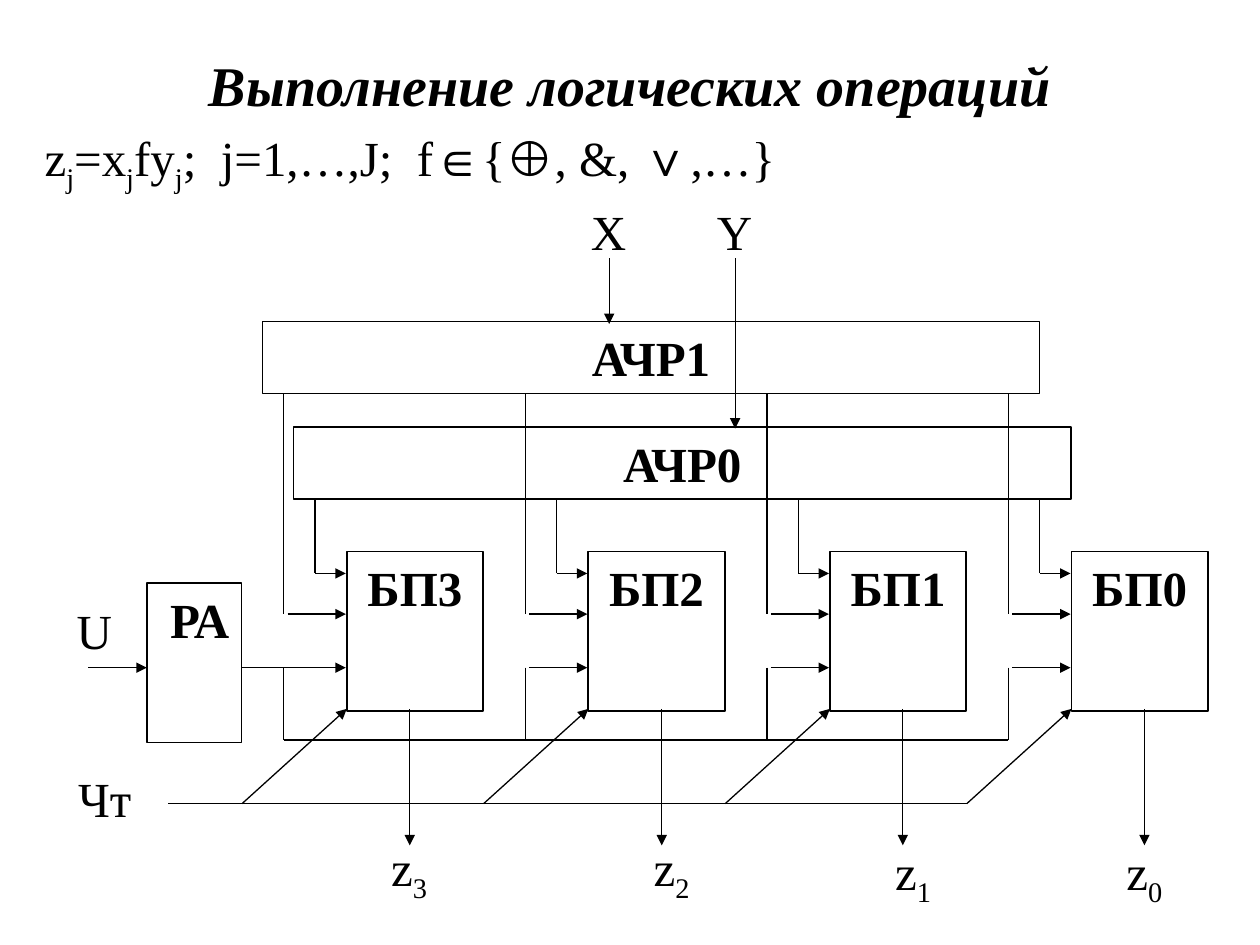
from dataclasses import dataclass

from lxml.etree import SubElement
from pptx import Presentation
from pptx.dml.color import RGBColor
from pptx.enum.shapes import MSO_CONNECTOR, MSO_SHAPE
from pptx.enum.text import MSO_ANCHOR, PP_ALIGN as Align
from pptx.oxml.ns import qn
from pptx.util import Cm, Pt

INK = "000000"
SERIF = "Times New Roman"
SYMBOL = "Arial"
SUBSCRIPT = "-25000"


@dataclass
class Piece:
    """A stretch of text, optionally lowered or in another font."""
    text: str
    sub: bool = False
    font: str = ""


@dataclass
class Box:
    """An outlined, labelled rectangle; lengths in cm, outline in points."""
    label: str
    left: float
    top: float
    width: float
    height: float
    outline: float = 1
    align: Align = Align.CENTER


@dataclass
class Label:
    """A small centred caption; position in cm."""
    pieces: list[Piece]
    left: float
    top: float


@dataclass
class Stage:
    """A processing block with its output position in cm."""
    number: int
    output_x: float
    z_left: float
    z_top: float


def colour(value: str) -> RGBColor:
    """Turn a hex string into a colour."""
    return RGBColor.from_string(value)


def write(frame, pieces: list[Piece], size: int = 28, bold: bool = False,
          italic: bool = False, align: Align = Align.CENTER) -> None:
    """Fill a text frame with one paragraph of pieces."""
    frame.word_wrap = True
    paragraph = frame.paragraphs[0]
    paragraph.alignment = align
    font = paragraph.font
    font.size, font.bold, font.italic = Pt(size), bold, italic
    font.name = SERIF
    font.color.rgb = colour(INK)
    for piece in pieces:
        run = paragraph.add_run()
        run.text = piece.text
        if piece.font:
            run.font.name = piece.font
        if piece.sub:
            run.font._element.set("baseline", SUBSCRIPT)


def add_text(left: float, top: float, width: float, height: float):
    """Add a text box and return its frame."""
    return slide.shapes.add_textbox(Cm(left), Cm(top), Cm(width), Cm(height)).text_frame


def add_box(box: Box) -> None:
    """Draw an unfilled rectangle with a bold label at the top."""
    shape = slide.shapes.add_shape(MSO_SHAPE.RECTANGLE, Cm(box.left), Cm(box.top),
                                   Cm(box.width), Cm(box.height))
    shape.shadow.inherit = False
    shape.fill.background()
    shape.line.color.rgb = colour(INK)
    shape.line.width = Pt(box.outline)
    shape.text_frame.vertical_anchor = MSO_ANCHOR.TOP
    write(shape.text_frame, [Piece(box.label)], bold=True, align=box.align)


def add_label(label: Label) -> None:
    """Write a caption in a box of the common size."""
    write(add_text(label.left, label.top, 1.68, 1.57), label.pieces)


def add_line(x1: float, y1: float, x2: float, y2: float, arrow: bool = False) -> None:
    """Draw a thin straight line, with an arrowhead at its end if asked."""
    line = slide.shapes.add_connector(MSO_CONNECTOR.STRAIGHT,
                                      Cm(x1), Cm(y1), Cm(x2), Cm(y2))
    line.line.color.rgb = colour(INK)
    line.line.width = Pt(0.75)
    if arrow:
        SubElement(line.line._get_or_add_ln(), qn("a:tailEnd"), type="triangle")
    SubElement(line._element.spPr, qn("a:effectLst"))


def add_stage(stage: Stage, left: float, wire_start: float) -> None:
    """Draw a block with its inputs, read line and output."""
    add_box(Box(f"БП{stage.number}", left, BLOCK_TOP, 2.75, 3.22))
    low_x, high_x, tip = left - 0.64, left - BUS_OFFSET, left - 0.02
    add_line(low_x, 10.06, low_x, LOW_Y)
    add_line(low_x, LOW_Y, tip, LOW_Y, arrow=True)
    add_line(high_x, 7.94, high_x, HIGH_Y)
    add_line(left - 1.19, HIGH_Y, tip, HIGH_Y, arrow=True)
    add_line(high_x, CONTROL_Y, high_x, BUS_Y)
    add_line(wire_start, CONTROL_Y, tip, CONTROL_Y, arrow=True)
    add_line(left - READ_OFFSET, READ_Y, left, BLOCK_BOTTOM, arrow=True)
    add_line(stage.output_x, BLOCK_BOTTOM, stage.output_x, 17.04, arrow=True)
    add_label(Label([Piece("z"), Piece(str(stage.number), sub=True)],
                    stage.z_left, stage.z_top))


FIRST_LEFT, PITCH = 6.99, 4.87
BLOCK_TOP, BLOCK_BOTTOM = 11.12, 14.29
LOW_Y, HIGH_Y, CONTROL_Y = 11.56, 12.38, 13.46
BUS_Y, READ_Y = 14.92, 16.2
BUS_OFFSET, READ_OFFSET = 1.27, 2.11
REGISTER_RIGHT = 4.88

STAGES = [Stage(3, 8.26, 7.41, 16.75), Stage(2, 13.34, 12.7, 16.75),
          Stage(1, 18.2, 17.57, 16.83), Stage(0, 23.07, 22.23, 16.83)]
BOXES = [Box("РА", 2.96, 11.75, 1.91, 3.22, align=Align.RIGHT),
         Box("АЧР0", 5.92, 8.61, 15.67, 1.45, outline=0.75),
         Box("АЧР1", 5.29, 6.48, 15.67, 1.45, outline=0.75)]
LABELS = [Label([Piece("X")], 11.43, 3.94), Label([Piece("Y")], 13.97, 3.94),
          Label([Piece("U")], 1.06, 11.99), Label([Piece("Чт")], 1.27, 15.37)]
FORMULA = [Piece("z"), Piece("j", sub=True), Piece("=x"), Piece("j", sub=True),
           Piece("fy"), Piece("j", sub=True), Piece(";  j=1,…,J;  f"),
           Piece("∈", font=SYMBOL), Piece("{"), Piece("⊕", font=SYMBOL),
           Piece(", &, "), Piece("∨", font=SYMBOL), Piece(",…}")]

deck = Presentation()
deck.slide_width, deck.slide_height = Cm(25.4), Cm(19.05)
slide = deck.slides.add_slide(deck.slide_layouts[6])

title = add_text(1.91, 1.27, 21.59, 0.85)
title.vertical_anchor = MSO_ANCHOR.MIDDLE
write(title, [Piece("Выполнение логических операций")], size=32, bold=True, italic=True)

formula = add_text(0.85, 2.54, 23.5, 2.75)
formula.margin_left = formula.margin_right = Cm(0.05)
formula.margin_top = formula.margin_bottom = Cm(0.03)
write(formula, FORMULA, align=Align.LEFT)

for position, block in enumerate(STAGES):
    block_left = FIRST_LEFT + PITCH * position
    add_stage(block, block_left, block_left - 1.19 if position else REGISTER_RIGHT)
for register in BOXES:
    add_box(register)
for caption in LABELS:
    add_label(caption)

last_left = FIRST_LEFT + PITCH * (len(STAGES) - 1)
add_line(last_left - BUS_OFFSET, BUS_Y, FIRST_LEFT - BUS_OFFSET, BUS_Y)
add_line(last_left - READ_OFFSET, READ_Y, 3.39, READ_Y)
add_line(1.78, CONTROL_Y, 2.96, CONTROL_Y, arrow=True)
add_line(12.28, 5.21, 12.28, 6.53, arrow=True)
add_line(14.82, 5.21, 14.82, 8.64, arrow=True)

deck.save("out.pptx")
